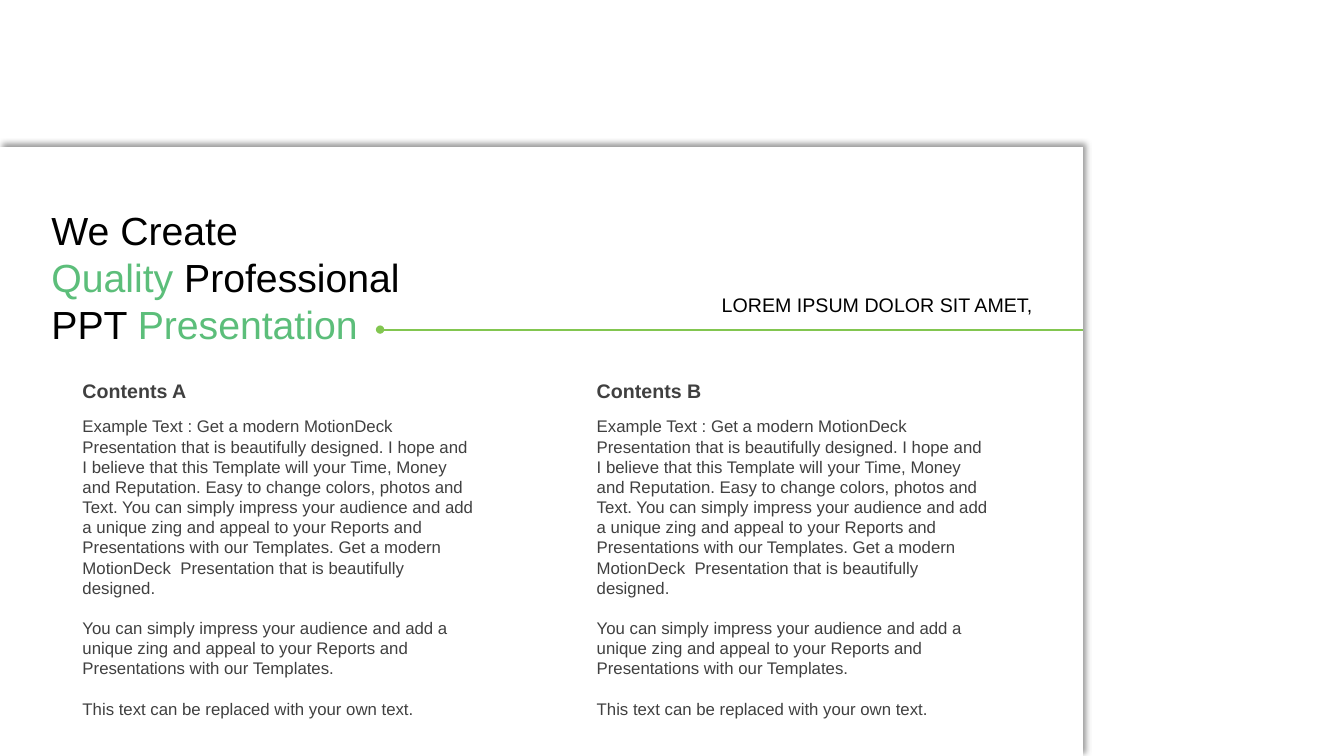
from dataclasses import dataclass

from lxml import etree
from pptx import Presentation
from pptx.dml.color import RGBColor
from pptx.enum.shapes import MSO_CONNECTOR, MSO_SHAPE
from pptx.enum.text import MSO_ANCHOR, MSO_AUTO_SIZE, PP_ALIGN
from pptx.oxml import parse_xml
from pptx.oxml.ns import nsdecls, qn
from pptx.util import Pt

RECTANGLE = MSO_SHAPE.RECTANGLE
STRAIGHT = MSO_CONNECTOR.STRAIGHT
GROW = MSO_AUTO_SIZE.SHAPE_TO_FIT_TEXT
TOP, MIDDLE = MSO_ANCHOR.TOP, MSO_ANCHOR.MIDDLE
LEFT, RIGHT = PP_ALIGN.LEFT, PP_ALIGN.RIGHT
TITLE_ONLY = 5
EMU_PER_PX = 9144


@dataclass(frozen=True)
class Theme:
    font: str = "Arial"
    paper: str = "FFFFFF"
    ink: str = "000000"
    body_ink: str = "404040"
    accent: str = "5CBE7A"
    rule: str = "82C650"
    title_size: int = 28
    heading_size: int = 14
    body_size: int = 12
    leading: float = 1.2


def px(value):
    return value * EMU_PER_PX


def rgb(colour):
    return RGBColor.from_string(colour)


class SlideBuilder:
    def __init__(self, slide, theme):
        self.slide = slide
        self.theme = theme

    def card(self, *box):
        card = self.slide.shapes.add_shape(RECTANGLE, *map(px, box))
        card.fill.solid()
        card.fill.fore_color.rgb = rgb(self.theme.paper)
        card.line.fill.background()
        card.shadow.inherit = False
        effects = card._element.spPr.find(qn("a:effectLst"))
        effects.append(parse_xml(
            f'<a:outerShdw {nsdecls("a")} blurRad="{Pt(4)}" dist="{Pt(3)}" '
            f'dir="{315 * 60000}" algn="bl" rotWithShape="0">'
            f'<a:srgbClr val="{self.theme.ink}"><a:alpha val="40000"/></a:srgbClr>'
            '</a:outerShdw>'))

    def dotted_rule(self, start, end, y):
        rule = self.slide.shapes.add_connector(STRAIGHT, px(start), px(y), px(end), px(y))
        rule.line.color.rgb = rgb(self.theme.rule)
        rule.line.width = Pt(1.5)
        etree.SubElement(rule.line._get_or_add_ln(), qn("a:headEnd"), type="oval")
        etree.SubElement(rule._element.spPr, qn("a:effectLst"))

    def title(self, lines, *box):
        title = self.slide.shapes.title
        self.slide.shapes._spTree.append(title._element)
        title.left, title.top, title.width, title.height = map(px, box)
        frame = self.frame(title, MIDDLE)
        frame.margin_left = frame.margin_right = px(4)
        frame.margin_top = frame.margin_bottom = 0
        for index, parts in enumerate(lines):
            line = frame.add_paragraph() if index else frame.paragraphs[0]
            line.alignment = LEFT
            self.style(line, self.theme.title_size)
            line.line_spacing = Pt(self.theme.title_size * self.theme.leading)
            for words, colour in parts:
                run = line.add_run()
                run.text = words
                run.font.color.rgb = rgb(colour)

    def text(self, paragraphs, box, size, colour, bold=False, align=LEFT,
             anchor=TOP, group=None):
        shapes = group.shapes if group else self.slide.shapes
        frame = self.frame(shapes.add_textbox(*map(px, box)), anchor)
        pitch = Pt(size * self.theme.leading)
        for index, words in enumerate(paragraphs):
            paragraph = frame.add_paragraph() if index else frame.paragraphs[0]
            paragraph.text = words
            paragraph.alignment = align
            paragraph.line_spacing = pitch
            if index:
                paragraph.space_before = pitch
            self.style(paragraph, size, bold)
            paragraph.font.color.rgb = rgb(colour)

    def column(self, heading, paragraphs, left):
        group = self.slide.shapes.add_group_shape()
        ink = self.theme.body_ink
        self.text([heading], (left, 371, 410, 34), self.theme.heading_size, ink,
                  bold=True, group=group)
        self.text(paragraphs, (left, 408, 410, 293), self.theme.body_size, ink,
                  group=group)

    def frame(self, shape, anchor):
        frame = shape.text_frame
        frame.word_wrap = True
        frame.auto_size = GROW
        frame.vertical_anchor = anchor
        return frame

    def style(self, paragraph, size, bold=False):
        paragraph.font.name = self.theme.font
        paragraph.font.size = Pt(size)
        paragraph.font.bold = bold


BODY = [
    "Example Text : Get a modern MotionDeck Presentation that is beautifully "
    "designed. I hope and I believe that this Template will your Time, Money and "
    "Reputation. Easy to change colors, photos and Text. You can simply impress "
    "your audience and add a unique zing and appeal to your Reports and "
    "Presentations with our Templates. Get a modern MotionDeck  Presentation "
    "that is beautifully designed.",
    "You can simply impress your audience and add a unique zing and appeal to "
    "your Reports and Presentations with our Templates.",
    "This text can be replaced with your own text.",
]


def main():
    presentation = Presentation()
    presentation.slide_width = px(1333)
    presentation.slide_height = px(750)
    slide = presentation.slides.add_slide(presentation.slide_layouts[TITLE_ONLY])
    theme = Theme()
    builder = SlideBuilder(slide, theme)

    builder.card(0, 146, 1074, 604)
    builder.text(["LOREM IPSUM DOLOR SIT AMET,"], (705, 285, 329, 34),
                 theme.heading_size, theme.ink, align=RIGHT, anchor=MIDDLE)
    builder.dotted_rule(377, 1074, 327)
    builder.title([
        [("We Create", theme.ink)],
        [("Quality ", theme.accent), ("Professional", theme.ink)],
        [("PPT ", theme.ink), ("Presentation", theme.accent)],
    ], 47, 204, 410, 141)
    for index, letter in enumerate("AB"):
        builder.column(f"Contents {letter}", BODY, 72 + index * 510)

    presentation.save("out.pptx")


if __name__ == "__main__":
    main()
